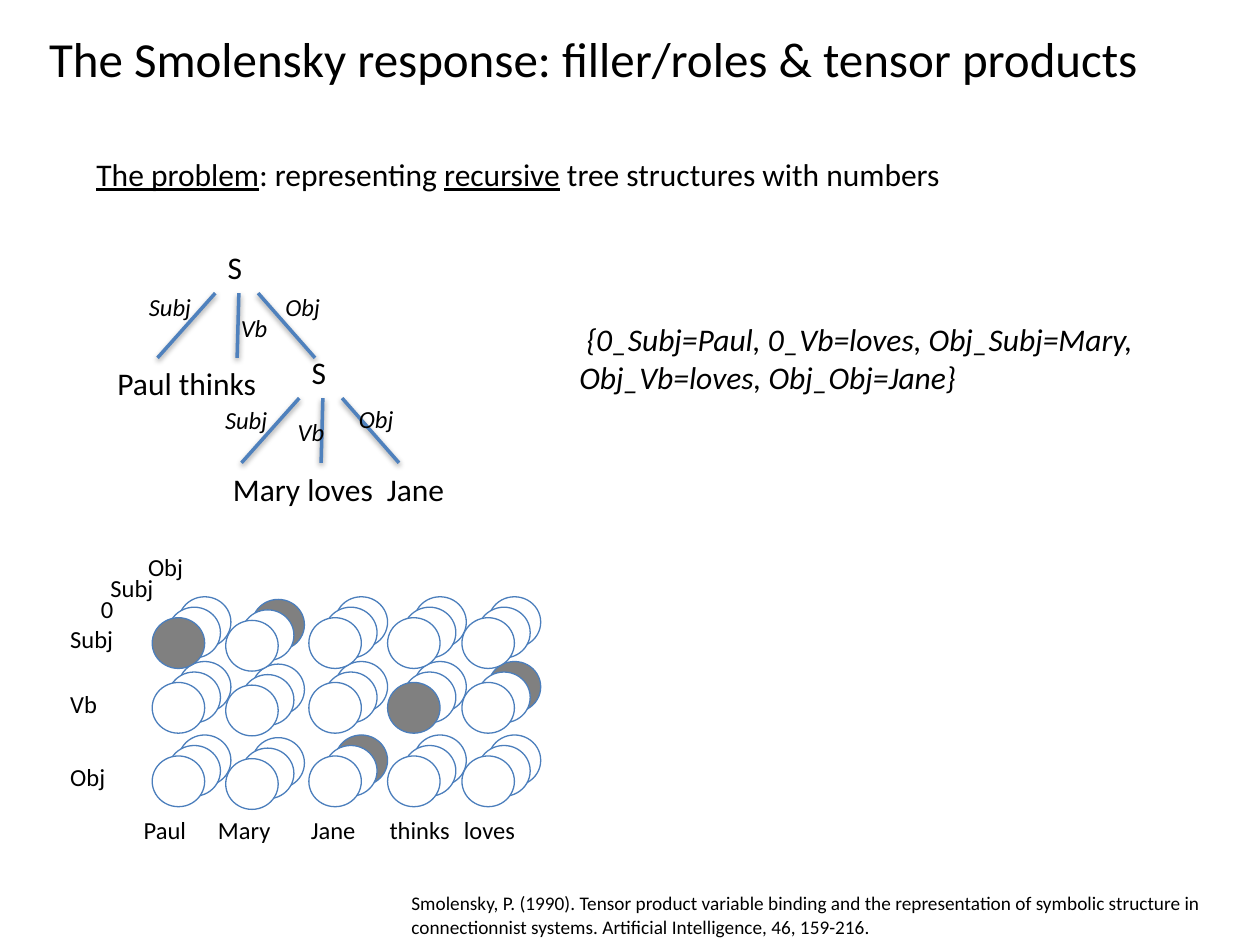
"""Build a slide on filler/role bindings with parse trees and a tensor grid."""
import pptx
import pptx.util
import pptx.dml.color
import pptx.enum.shapes
import pptx.enum.text
import pptx.oxml
import pptx.oxml.ns

Pt = pptx.util.Pt
RGBColor = pptx.dml.color.RGBColor
BLACK = RGBColor(0, 0, 0)
WHITE = RGBColor(255, 255, 255)
GRAY = RGBColor(0x80, 0x80, 0x80)
OUTLINE = RGBColor(0x4B, 0x7E, 0xBC)
BRANCH = RGBColor(0x4F, 0x81, 0xBD)
NS = pptx.oxml.ns.nsdecls("a")
BRANCH_SHADOW = (
    f'<a:effectLst {NS}><a:outerShdw blurRad="40000" dist="20000" dir="5400000" rotWithShape="0">'
    '<a:srgbClr val="000000"><a:alpha val="38000"/></a:srgbClr></a:outerShdw></a:effectLst>'
)

deck = pptx.Presentation()
deck.slide_width, deck.slide_height = Pt(720), Pt(540)
slide = deck.slides.add_slide(deck.slide_layouts[6])


def put_text(text, left, top, width, height, size=18, italic=False, wrap=False,
             grow=True, margin=0, indent=0, tab=None):
    """Add a text box; words between bars are underlined."""
    frame = slide.shapes.add_textbox(Pt(left), Pt(top), Pt(width), Pt(height)).text_frame
    frame.word_wrap = wrap
    sizing = pptx.enum.text.MSO_AUTO_SIZE
    frame.auto_size = sizing.SHAPE_TO_FIT_TEXT if grow else sizing.NONE
    for number, line in enumerate(text.split("\n")):
        paragraph = frame.add_paragraph() if number else frame.paragraphs[0]
        properties = paragraph._p.get_or_add_pPr()
        if indent and not number:
            properties.set("marL", str(Pt(margin)))
            properties.set("indent", str(Pt(indent)))
        if tab:
            properties.append(pptx.oxml.parse_xml(
                f'<a:tabLst {NS}><a:tab pos="{Pt(tab)}" algn="l"/></a:tabLst>'))
        for part, words in enumerate(line.split("|")):
            if words:
                run = paragraph.add_run()
                run.text = words
                run.font.name, run.font.size = "Calibri", Pt(size)
                run.font.color.rgb = BLACK
                run.font.italic = italic
                run.font.underline = part % 2 == 1


put_text("The Smolensky response: filler/roles & tensor products", 0, 12.5, 720, 84,
         size=28, wrap=True, grow=False, margin=58.5, indent=-37.5)
put_text("|The problem|: representing |recursive| tree structures with numbers",
         48, 85, 541, 29)
put_text("{0_Subj=Paul, 0_Vb=loves, Obj_Subj=Mary,\nObj_Vb=loves, Obj_Obj=Jane}",
         324, 179.5, 379, 51, italic=True, indent=4)
put_text("Smolensky, P. (1990). Tensor product variable binding and the representation of "
         "symbolic structure in connectionnist systems. Artificial Intelligence, 46, 159-216.",
         228, 506, 492, 34, size=11, wrap=True)

put_text("Paul thinks", 60, 204.5, 104, 29)
put_text("Mary loves\tJane", 126, 265, 152, 29, tab=88)
trees = [
    (123, 138, [("Subj", 78, 163.5, 46), ("Vb", 130.5, 175.5, 35), ("Obj", 156, 163.5, 40)]),
    (171, 198, [("Subj", 121.5, 228, 46), ("Vb", 163, 234.5, 35), ("Obj", 198, 227.5, 40)]),
]
for root_x, root_y, roles in trees:
    put_text("S", root_x, root_y, 27, 29)
    for start, end in [(0, -33), (13.5, 12.5), (24.5, 57)]:
        branch = slide.shapes.add_connector(
            pptx.enum.shapes.MSO_CONNECTOR.STRAIGHT,
            Pt(root_x + start), Pt(root_y + 29.5), Pt(root_x + end), Pt(root_y + 66.5))
        branch.line.color.rgb = BRANCH
        branch.line.width = Pt(2)
        branch._element.spPr.append(pptx.oxml.parse_xml(BRANCH_SHADOW))
    for role, left, top, width in roles:
        put_text(role, left, top, width, 24.5, size=14, italic=True)

fillers = [("Paul", 87, 353, 75, 42.5), ("Mary", 129, 354.5, 117.5, 47),
           ("Jane", 176.5, 353, 170.5, 45.5), ("thinks", 221.5, 353, 215.5, 51),
           ("loves", 264, 353, 258, 47.5)]
role_rows = [("Subj", 0, 42.5), ("Vb", 37, 33), ("Obj", 79, 37)]
layers = [
    (15, -12, slide.shapes.add_group_shape().shapes,
     {("Mary", "Subj"), ("Jane", "Obj"), ("loves", "Vb")}),
    (9, -6, slide.shapes.add_group_shape().shapes, set()),
    (0, 0, slide.shapes, {("Paul", "Subj"), ("thinks", "Vb")}),
]
for shift_x, shift_y, canvas, active in layers:
    for filler, unit_x, unit_y, _, _ in fillers:
        for role, row_y, _ in role_rows:
            unit = canvas.add_shape(
                pptx.enum.shapes.MSO_SHAPE.OVAL, Pt(unit_x + shift_x),
                Pt(unit_y + row_y + shift_y), Pt(30), Pt(29))
            unit.shadow.inherit = False
            unit.fill.solid()
            unit.fill.fore_color.rgb = GRAY if (filler, role) in active else WHITE
            unit.line.color.rgb = OUTLINE
            unit.line.width = Pt(0.75)

for filler, _, _, left, width in fillers:
    put_text(filler, left, 462, width, 24.5, size=14)
for role, row_y, width in role_rows:
    put_text(role, 33, 353 + row_y, width, 24.5, size=14)
for step, (depth, left, width) in enumerate([("0", 50.5, 22.5), ("Subj", 56, 42.5), ("Obj", 77.5, 37)]):
    put_text(depth, left, 336 - 12 * step, width, 24.5, size=14)

deck.save("out.pptx")
